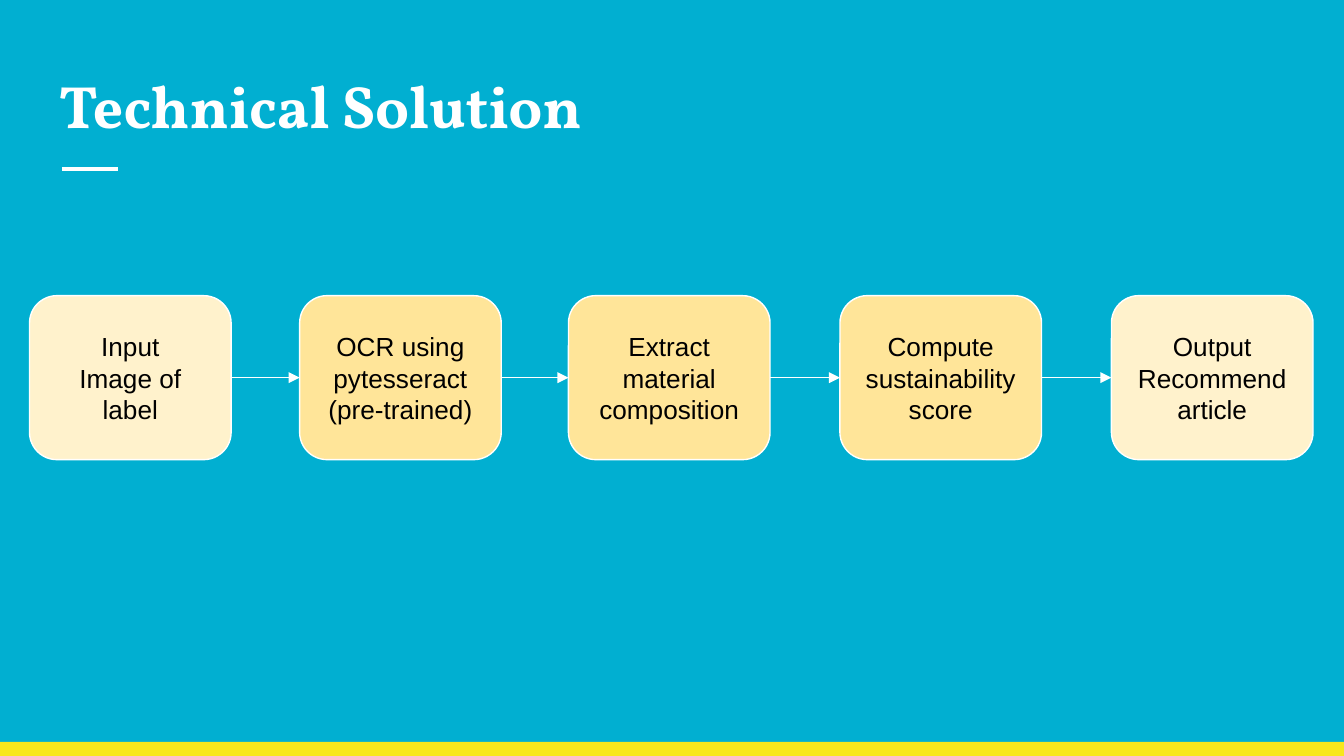
from itertools import pairwise

from lxml.etree import SubElement
from pptx import Presentation
from pptx.dml.color import RGBColor
from pptx.enum.shapes import MSO_CONNECTOR as Link, MSO_SHAPE as Shape
from pptx.enum.text import MSO_ANCHOR as Anchor, PP_ALIGN as Align
from pptx.oxml.ns import qn
from pptx.util import Inches, Pt

COLORS = {
    "back": "01AFD1",
    "bar": "F8E71C",
    "white": "FFFFFF",
    "black": "000000",
    "end": "FFF2CC",
    "step": "FFE599",
}
# Offset from the left of the flow, text, fill
STEPS = [
    (0, "Input\nImage of label", "end"),
    (2.01, "OCR using pytesseract\n(pre-trained)", "step"),
    (4.01, "Extract material composition", "step"),
    (6.03, "Compute sustainability score", "step"),
    (8.05, "Output\nRecommend article", "end"),
]


def color(name):
    return RGBColor.from_string(COLORS[name])


def set_text(frame, text, font, size, ink, align, bold=False):
    frame.word_wrap = True
    frame.margin_left = frame.margin_right = Inches(0.1)
    frame.margin_top = frame.margin_bottom = Inches(0.1)
    frame.text = text
    for para in frame.paragraphs:
        para.alignment = align
        para.font.name = font
        para.font.size = Pt(size)
        para.font.bold = bold
        para.font.color.rgb = color(ink)


def add_line(slide, start, end, width):
    line = slide.shapes.add_connector(
        Link.STRAIGHT, *(Inches(n) for n in (*start, *end)))
    line.line.color.rgb = color("white")
    line.line.width = Pt(width)
    SubElement(line._element.spPr, qn("a:effectLst"))
    return line


def add_arrow(slide, first, second):
    """Join the right side of one box to the left side of the next."""
    arrow = add_line(slide, (0, 0), (1, 0), 0.75)
    arrow.begin_connect(first, 3)
    arrow.end_connect(second, 1)
    stroke = arrow.line._get_or_add_ln()
    SubElement(stroke, qn("a:tailEnd"), type="triangle")


def add_bar(slide, left, top, width, height):
    bar = slide.shapes.add_shape(
        Shape.RECTANGLE, *map(Inches, (left, top, width, height)))
    bar.shadow.inherit = False
    bar.fill.solid()
    bar.fill.fore_color.rgb = color("bar")
    bar.line.fill.background()


def add_title(slide, text, left, top, width, height):
    """Place the title with a short rule below it."""
    rule_x, rule_y = left + 0.12, top + height + 0.14
    add_line(slide, (rule_x, rule_y), (rule_x + 0.42, rule_y), 2.25)
    box = slide.shapes.add_textbox(*map(Inches, (left, top, width, height)))
    box.text_frame.vertical_anchor = Anchor.TOP
    set_text(box.text_frame, text, "Vollkorn", 32, "white", Align.LEFT, True)


def add_step(slide, text, fill, left, top, width, height):
    box = slide.shapes.add_shape(
        Shape.ROUNDED_RECTANGLE, *map(Inches, (left, top, width, height)))
    box.shadow.inherit = False
    box.fill.solid()
    box.fill.fore_color.rgb = color(fill)
    box.line.color.rgb = color("white")
    box.line.width = Pt(0.75)
    box.text_frame.vertical_anchor = Anchor.MIDDLE
    set_text(box.text_frame, text, "Arial", 14, "black", Align.CENTER)
    return box


def add_flow(slide, steps, left, top, width, height):
    """Place the steps, each of the given width, and link them with arrows."""
    boxes = [
        add_step(slide, text, fill, left + shift, top, width, height)
        for shift, text, fill in steps
    ]
    for first, second in pairwise(boxes):
        add_arrow(slide, first, second)


def main():
    deck = Presentation()
    deck.slide_width = Inches(10)
    deck.slide_height = deck.slide_width * 9 // 16
    slide = deck.slides.add_slide(deck.slide_layouts[6])
    slide.background.fill.solid()
    slide.background.fill.fore_color.rgb = color("back")
    add_bar(slide, 0, 5.52, 10, 0.11)
    add_title(slide, "Technical Solution", 0.34, 0.41, 9.32, 0.71)
    add_flow(slide, STEPS, 0.22, 2.2, 1.5, 1.22)
    deck.save("out.pptx")


if __name__ == "__main__":
    main()
